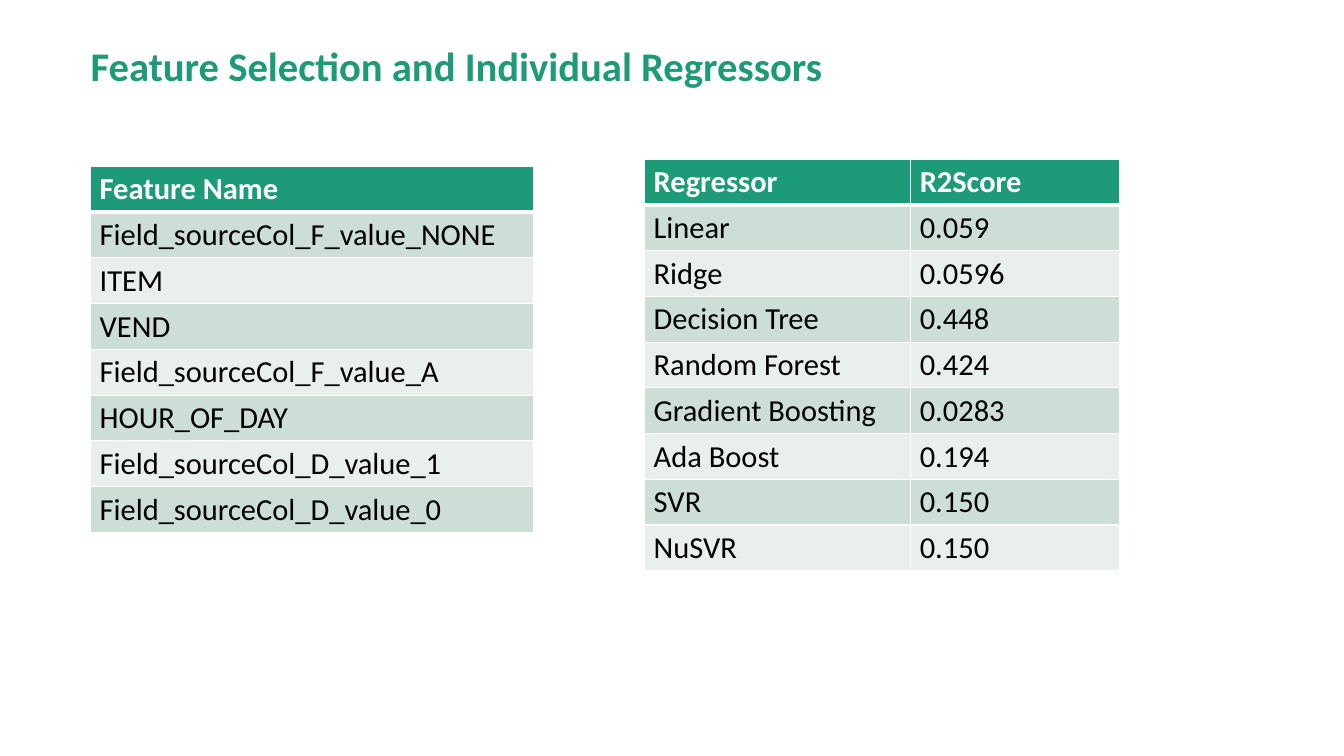
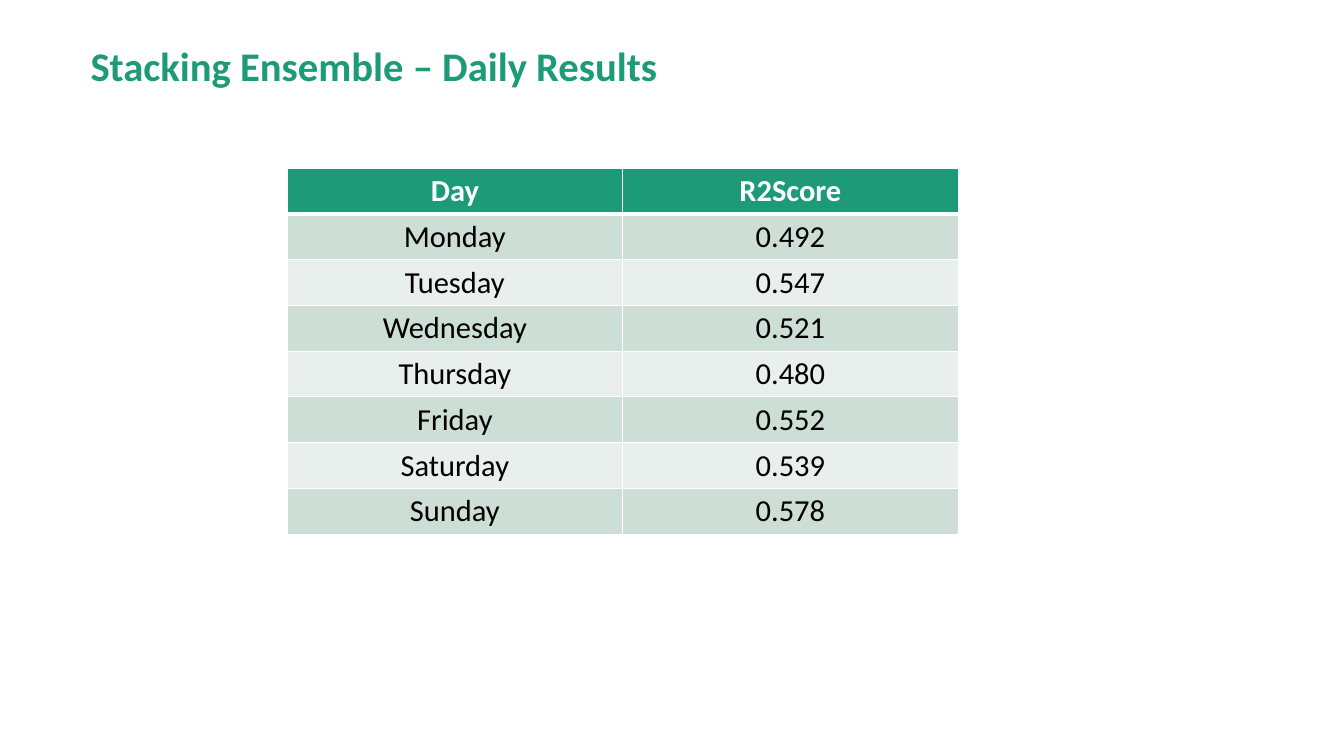
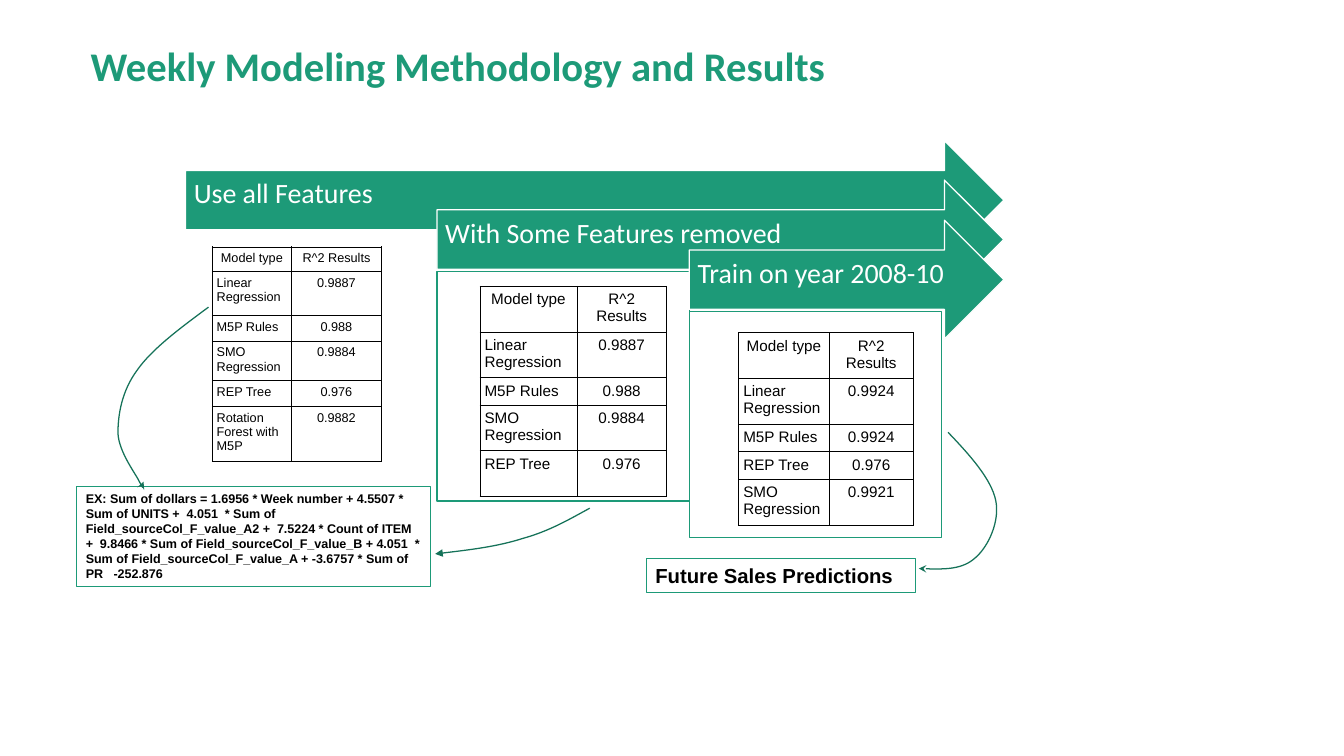
from dataclasses import dataclass
from typing import Any

from lxml.etree import SubElement
from pptx import Presentation
from pptx.dml.color import RGBColor
from pptx.enum.shapes import MSO_SHAPE
from pptx.enum.text import MSO_ANCHOR, MSO_AUTO_SIZE, PP_ALIGN
from pptx.oxml.ns import qn
from pptx.util import Inches, Pt

COLORS = {
    "green": "1D9A78",
    "dark_green": "157259",
    "band_dark": "CDDED6",
    "band_light": "E8EFEC",
    "white": "FFFFFF",
    "black": "000000",
}
LEFT, CENTER = PP_ALIGN.LEFT, PP_ALIGN.CENTER
Point = tuple[float, float]
Box = tuple[float, float, float, float]


@dataclass(frozen=True)
class TextStyle:
    size: float
    font: str
    color: str
    bold: bool = False


@dataclass(frozen=True)
class TableStyle:
    header: TextStyle
    body: TextStyle
    header_fill: str
    bands: tuple[str, str]
    border: str
    border_width: float
    header_rule: float
    margins: dict[str, float]


@dataclass(frozen=True)
class TableSpec:
    left: float
    top: float
    cols: list[float]
    heights: list[float]
    rows: list[tuple[str, ...]]
    style: TableStyle
    header_align: PP_ALIGN = CENTER
    aligns: tuple[PP_ALIGN, ...] = (LEFT, CENTER)


@dataclass(frozen=True)
class Step:
    label: str
    left: float
    top: float
    panel_height: float = 0


@dataclass(frozen=True)
class Callout:
    text: str
    box: Box
    style: TextStyle


@dataclass(frozen=True)
class Curve:
    points: list[Point]
    head: str


TITLE = TextStyle(32, "Calibri", "green", True)
STEP = TextStyle(22, "Calibri", "white")
STEP_RIGHT, ARROW_HEIGHT, PANEL_WIDTH = 10.98, 1.3, 2.76


def margins(left: float, top: float, right: float, bottom: float) -> dict[str, float]:
    return {"margin_left": Inches(left), "margin_top": Inches(top),
            "margin_right": Inches(right), "margin_bottom": Inches(bottom)}


def banded_style() -> TableStyle:
    return TableStyle(TextStyle(24, "Calibri", "white", True), TextStyle(24, "Calibri", "black"),
                      "green", ("band_dark", "band_light"), "white", 1, 3,
                      margins(0.1, 0.05, 0.1, 0.05))


def grid_style(size: float) -> TableStyle:
    text = TextStyle(size, "Arial", "black")
    return TableStyle(text, text, "white", ("white", "white"), "black", 0.6, 0.6,
                      margins(0.05, 0.05, 0.05, 0.05))


def rgb(name: str) -> RGBColor:
    return RGBColor.from_string(COLORS[name])


def apply(obj: Any, values: dict[str, Any]) -> None:
    for name, value in values.items():
        setattr(obj, name, value)


def write(tf: Any, text: str, style: TextStyle, align: PP_ALIGN = LEFT,
          spacing: float = 1.0) -> None:
    p = tf.paragraphs[0]
    apply(p, {"alignment": align, "line_spacing": spacing})
    r = p.add_run()
    r.text = text
    apply(r.font, {"size": Pt(style.size), "name": style.font, "bold": style.bold})
    r.font.color.rgb = rgb(style.color)


def add_title(s: Any, text: str) -> None:
    tf = s.shapes.add_textbox(Inches(0.99), Inches(0.42), Inches(12.85), Inches(0.58)).text_frame
    apply(tf, {"word_wrap": True, "vertical_anchor": MSO_ANCHOR.MIDDLE, **margins(0, 0, 0, 0)})
    write(tf, text, TITLE)


def set_borders(cell: Any, color: str, widths: dict[str, float]) -> None:
    props = cell._tc.get_or_add_tcPr()
    for side, width in widths.items():
        ln = SubElement(props, qn(f"a:ln{side}"), w=str(Pt(width)))
        fill = SubElement(ln, qn("a:solidFill"))
        SubElement(fill, qn("a:srgbClr"), val=COLORS[color])


def draw_table(s: Any, spec: TableSpec) -> None:
    style = spec.style
    table = s.shapes.add_table(len(spec.rows), len(spec.cols), Inches(spec.left), Inches(spec.top),
                               Inches(sum(spec.cols)), Inches(sum(spec.heights))).table
    apply(table, {"first_row": False, "horz_banding": False})
    for col, width in zip(table.columns, spec.cols):
        col.width = Inches(width)
    for i, (row, height, values) in enumerate(zip(table.rows, spec.heights, spec.rows)):
        row.height = Inches(height)
        header = i == 0
        fill = style.header_fill if header else style.bands[(i - 1) % 2]
        widths = dict.fromkeys("LRTB", style.border_width)
        if i < 2:
            widths["B" if header else "T"] = style.header_rule
        for cell, value, align in zip(row.cells, values, spec.aligns):
            set_borders(cell, style.border, widths)
            cell.fill.solid()
            cell.fill.fore_color.rgb = rgb(fill)
            apply(cell, style.margins)
            write(cell.text_frame, value, style.header if header else style.body,
                  spec.header_align if header else align)


def draw_shape(s: Any, kind: MSO_SHAPE, box: Box, fill: str, line: str, width: float) -> Any:
    sp = s.shapes.add_shape(kind, *map(Inches, box))
    sp.shadow.inherit = False
    sp.fill.solid()
    sp.fill.fore_color.rgb = rgb(fill)
    sp.line.color.rgb = rgb(line)
    sp.line.width = Pt(width)
    return sp


def draw_step(s: Any, step: Step) -> None:
    box = (step.left, step.top, STEP_RIGHT - step.left, ARROW_HEIGHT)
    tf = draw_shape(s, MSO_SHAPE.RIGHT_ARROW, box, "green", "white", 1).text_frame
    apply(tf, {"word_wrap": True, "vertical_anchor": MSO_ANCHOR.MIDDLE,
               **margins(0.09, 0.09, 0.28, 0.21)})
    write(tf, step.label, STEP, spacing=0.9)
    if step.panel_height:
        panel = (step.left, step.top + 1, PANEL_WIDTH, step.panel_height)
        draw_shape(s, MSO_SHAPE.RECTANGLE, panel, "white", "green", 1)


def draw_callout(s: Any, callout: Callout) -> None:
    tf = draw_shape(s, MSO_SHAPE.RECTANGLE, callout.box, "white", "green", 0.75).text_frame
    apply(tf, {"word_wrap": True, "vertical_anchor": MSO_ANCHOR.TOP,
               "auto_size": MSO_AUTO_SIZE.SHAPE_TO_FIT_TEXT})
    write(tf, callout.text, callout.style)


def draw_curve(s: Any, curve: Curve) -> None:
    start, *rest = [(Inches(x), Inches(y)) for x, y in curve.points]
    builder = s.shapes.build_freeform(*start)
    builder.add_line_segments(rest, close=False)
    sp = builder.convert_to_shape()
    sp.shadow.inherit = False
    sp.fill.background()
    sp.line.color.rgb = rgb("dark_green")
    sp.line.width = Pt(1)
    SubElement(sp.line._get_or_add_ln(), qn("a:tailEnd"), type=curve.head)
    outline = next(sp._element.iter(qn("a:path")))
    segments = outline.findall(qn("a:lnTo"))
    for i in range(0, len(segments), 3):
        bezier = SubElement(outline, qn("a:cubicBezTo"))
        for segment in segments[i:i + 3]:
            bezier.append(segment[0])
            outline.remove(segment)


FEATURES = ["Feature Name", "Field_sourceCol_F_value_NONE", "ITEM", "VEND",
            "Field_sourceCol_F_value_A", "HOUR_OF_DAY", "Field_sourceCol_D_value_1",
            "Field_sourceCol_D_value_0"]
REGRESSORS = [("Regressor", "R2Score"), ("Linear", "0.059"), ("Ridge", "0.0596"),
              ("Decision Tree", "0.448"), ("Random Forest", "0.424"),
              ("Gradient Boosting", "0.0283"), ("Ada Boost", "0.194"), ("SVR", "0.150"),
              ("NuSVR", "0.150")]
DAYS = [("Day", "R2Score"), ("Monday", "0.492"), ("Tuesday", "0.547"), ("Wednesday", "0.521"),
        ("Thursday", "0.480"), ("Friday", "0.552"), ("Saturday", "0.539"), ("Sunday", "0.578")]
MODEL_HEADER = ("Model type", "R^2 Results")

feature_table = TableSpec(0.99, 1.82, [4.85], [0.5] * len(FEATURES),
                          [(name,) for name in FEATURES], banded_style(), LEFT)
regressor_table = TableSpec(7.05, 1.74, [2.91, 2.28], [0.5] * len(REGRESSORS),
                            REGRESSORS, banded_style(), LEFT, (LEFT, LEFT))
day_table = TableSpec(3.14, 1.84, [3.67, 3.67], [0.5] * len(DAYS),
                      DAYS, banded_style(), CENTER, (CENTER, CENTER))
all_features_table = TableSpec(
    2.32, 2.7, [0.87, 0.98], [0.27, 0.48, 0.28, 0.43, 0.28, 0.59],
    [MODEL_HEADER, ("Linear Regression", "0.9887"), ("M5P Rules", "0.988"),
     ("SMO Regression", "0.9884"), ("REP Tree", "0.976"),
     ("Rotation Forest with M5P", "0.9882")], grid_style(10))
some_features_table = TableSpec(
    5.25, 3.13, [1.06, 0.98], [0.48, 0.5, 0.29, 0.48, 0.5],
    [MODEL_HEADER, ("Linear Regression", "0.9887"), ("M5P Rules", "0.988"),
     ("SMO Regression", "0.9884"), ("REP Tree", "0.976")], grid_style(12))
trained_years_table = TableSpec(
    8.08, 3.64, [0.99, 0.92], [0.48, 0.48, 0.29, 0.29, 0.48],
    [MODEL_HEADER, ("Linear Regression", "0.9924"), ("M5P Rules", "0.9924"),
     ("REP Tree", "0.976"), ("SMO Regression", "0.9921")], grid_style(12))

STEPS = [
    Step("Use all Features", 2.03, 1.54),
    Step("With Some Features removed", 4.78, 1.97, 2.51),
    Step("Train on year 2008-10", 7.54, 2.41, 2.47),
]
FORMULA = (
    "EX: Sum of dollars = 1.6956 * Week number + 4.5507 * Sum of UNITS + \u00a04.051 \u00a0* "
    "Sum of Field_sourceCol_F_value_A2 + \u00a07.5224 * Count of ITEM + \u00a09.8466 * "
    "Sum of Field_sourceCol_F_value_B + 4.051 \u00a0* Sum of Field_sourceCol_F_value_A + "
    "-3.6757 * Sum of PR \u00a0\u00a0-252.876"
)
CALLOUTS = [
    Callout(FORMULA, (0.84, 5.32, 3.87, 1.1), TextStyle(9.9, "Arial", "black", True)),
    Callout("Future Sales Predictions", (7.07, 6.11, 2.94, 0.37),
            TextStyle(16, "Arial", "black", True)),
]
CURVES = [
    Curve([(2.28, 3.36), (1.97, 3.59), (1.66, 3.82), (1.5, 4.05), (1.33, 4.28), (1.29, 4.54),
           (1.29, 4.74), (1.3, 4.95), (1.49, 5.19), (1.53, 5.28), (1.58, 5.37), (1.57, 5.32),
           (1.57, 5.27)], "stealth"),
    Curve([(6.45, 5.56), (6.23, 5.68), (6.01, 5.81), (5.72, 5.89), (5.44, 5.98), (5.1, 6.02),
           (4.76, 6.06)], "triangle"),
    Curve([(10.37, 4.73), (10.61, 4.98), (10.84, 5.24), (10.89, 5.47), (10.94, 5.7),
           (10.81, 5.98), (10.67, 6.1), (10.53, 6.23), (10.29, 6.23), (10.05, 6.22)], "stealth"),
]

prs = Presentation()
apply(prs, {"slide_width": Inches(14.7), "slide_height": Inches(8.27)})


def new_slide(title: str) -> Any:
    s = prs.slides.add_slide(prs.slide_layouts[6])
    add_title(s, title)
    return s


s = new_slide("Feature Selection and Individual Regressors")
draw_table(s, feature_table)
draw_table(s, regressor_table)

s = new_slide("Stacking Ensemble – Daily Results")
draw_table(s, day_table)

s = new_slide("Weekly Modeling Methodology and Results")
draw_table(s, all_features_table)
for step in STEPS:
    draw_step(s, step)
draw_table(s, some_features_table)
draw_table(s, trained_years_table)
for callout in CALLOUTS:
    draw_callout(s, callout)
for curve in CURVES:
    draw_curve(s, curve)

prs.save("out.pptx")
